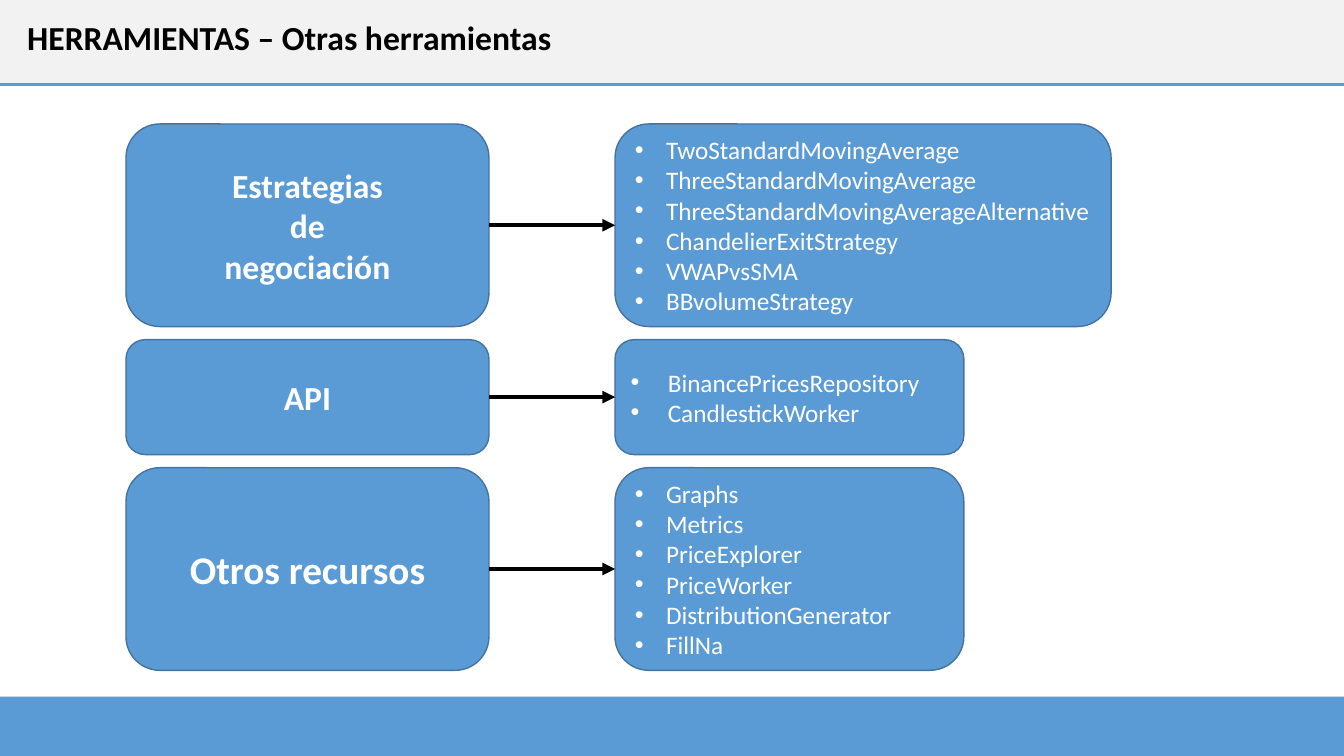
from lxml.etree import SubElement
from pptx import Presentation
from pptx.dml.color import RGBColor as RGB
from pptx.enum.shapes import MSO_CONNECTOR as LINE, MSO_SHAPE as SHAPE
from pptx.enum.text import MSO_ANCHOR as ANCHOR, MSO_AUTO_SIZE as FIT, PP_ALIGN as ALIGN
from pptx.oxml.ns import qn
from pptx.util import Pt

PX = 9144  # EMU per px, 100 px to the inch
THEME = {
    "font": "Calibri",
    "blue": RGB.from_string("5B9BD5"),
    "edge": RGB.from_string("43739E"),
    "gray": RGB.from_string("F2F2F2"),
    "white": RGB.from_string("FFFFFF"),
    "black": RGB.from_string("000000"),
    "title": 24,
    "list": 18,
}
WIDTH, HEIGHT = 1333, 750


def write(shape, lines, size, color="white", bold=False, align=ALIGN.LEFT,
          anchor=ANCHOR.MIDDLE, hang=0):
    """Fill the shape with one paragraph per line; hang is the bullet indent in px."""
    frame = shape.text_frame
    frame.word_wrap = True
    frame.auto_size = FIT.NONE
    frame.vertical_anchor = anchor
    frame.text = "\n".join(lines)
    for para in frame.paragraphs:
        para.alignment = align
        if hang:
            props = para._p.get_or_add_pPr()
            props.set("marL", str(hang * PX))
            props.set("indent", str(-hang * PX))
            SubElement(props, qn("a:buFont"), typeface="Arial")
            SubElement(props, qn("a:buChar"), char="•")
        font = para.font
        font.name, font.size, font.bold = THEME["font"], Pt(size), bold
        font.color.rgb = THEME[color]


def block(kind, left, top, width, height, fill="blue", edge=None):
    shape = slide.shapes.add_shape(kind, left * PX, top * PX, width * PX, height * PX)
    shape.shadow.inherit = False
    shape.fill.solid()
    shape.fill.fore_color.rgb = THEME[fill]
    if edge:
        shape.line.color.rgb = THEME[edge]
        shape.line.width = Pt(1)
    else:
        shape.line.fill.background()
    return shape


deck = Presentation()
deck.slide_width, deck.slide_height = WIDTH * PX, HEIGHT * PX
slide = deck.slides.add_slide(deck.slide_layouts[5])

# Header and footer bands
block(SHAPE.RECTANGLE, 0, 0, WIDTH, 84, fill="gray")
block(SHAPE.RECTANGLE, 0, 691, WIDTH, 59)
rule = slide.shapes.add_connector(LINE.STRAIGHT, 0, 84 * PX, WIDTH * PX, 84 * PX)
rule.line.color.rgb = THEME["blue"]
rule.line.width = Pt(2.25)
SubElement(rule._element.spPr, qn("a:effectLst"))

# Title, raised above the header band
title = slide.shapes.title
title.left, title.top, title.width, title.height = 17 * PX, 12 * PX, 829 * PX, 50 * PX
write(title, ["HERRAMIENTAS – Otras herramientas"], THEME["title"],
      color="black", bold=True, anchor=ANCHOR.TOP)
title.element.getparent().append(title.element)

# Each row: group lines, group size, height, list width, bullet indent, tools
rows = [
    (["Estrategias", "de", "negociación"], 24, 201, 492, 31,
     ["TwoStandardMovingAverage", "ThreeStandardMovingAverage",
      "ThreeStandardMovingAverageAlternative", "ChandelierExitStrategy",
      "VWAPvsSMA", "BBvolumeStrategy"]),
    (["API"], 24, 114, 346, 37,
     ["BinancePricesRepository", "CandlestickWorker"]),
    (["Otros recursos"], 28, 201, 346, 31,
     ["Graphs", "Metrics", "PriceExplorer", "PriceWorker",
      "DistributionGenerator", "FillNa"]),
]
GAP = 13
top = 123
for name, size, height, width, hang, tools in rows:
    group = block(SHAPE.ROUNDED_RECTANGLE, 125, top, 360, height, edge="edge")
    write(group, name, size, bold=True, align=ALIGN.CENTER)
    items = block(SHAPE.ROUNDED_RECTANGLE, 610, top, width, height, edge="edge")
    write(items, tools, THEME["list"], hang=hang)

    arrow = slide.shapes.add_connector(LINE.STRAIGHT, 0, 0, 0, 0)
    arrow.begin_connect(group, 3)
    arrow.end_connect(items, 1)
    arrow.line.color.rgb = THEME["black"]
    arrow.line.width = Pt(3)
    SubElement(arrow.line._get_or_add_ln(), qn("a:tailEnd"), type="triangle")
    SubElement(arrow._element.spPr, qn("a:effectLst"))
    top += height + GAP

deck.save("out.pptx")
